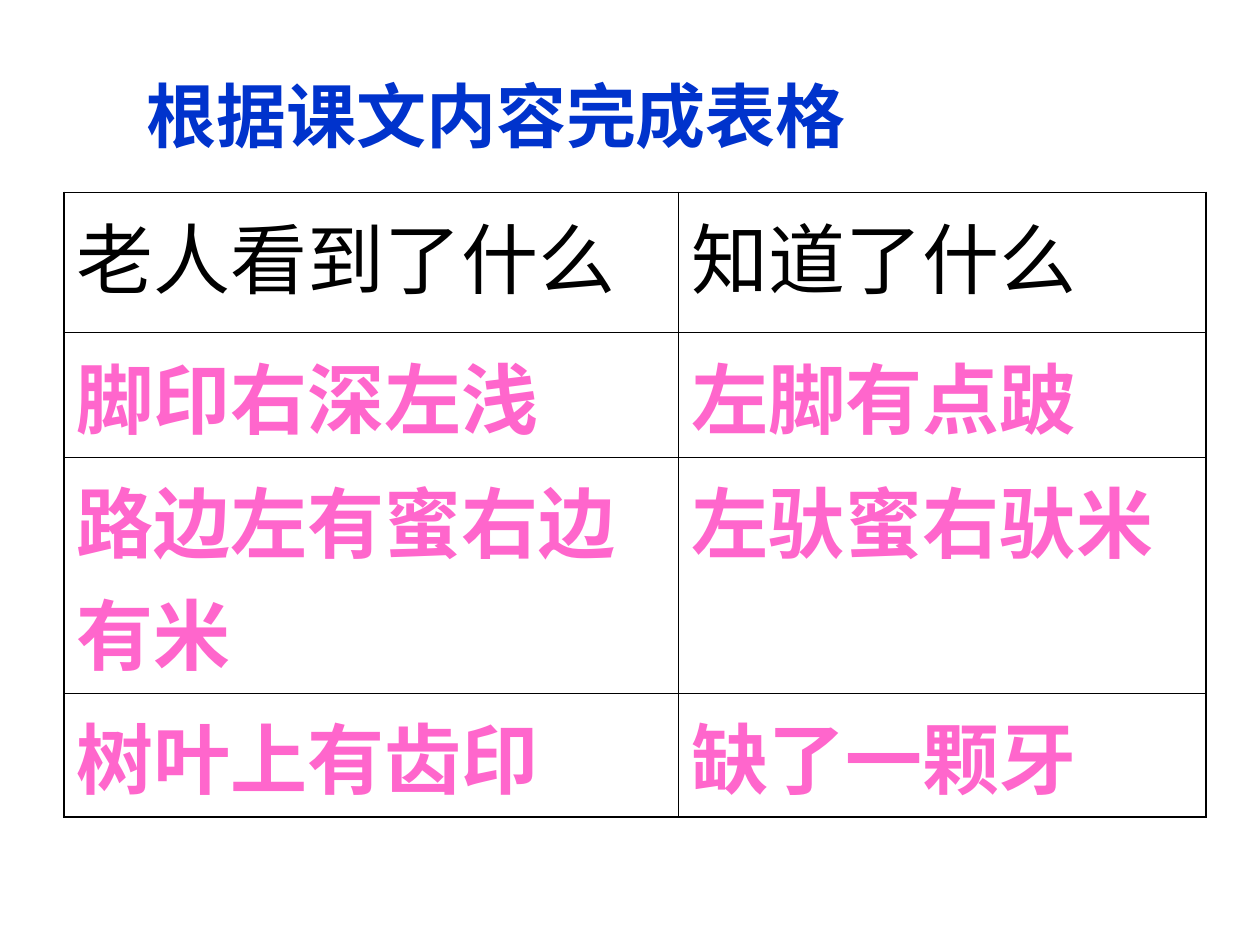
import pptx
import pptx.util
import pptx.dml.color
import pptx.enum.text
import pptx.oxml.ns
import lxml.etree

Pt = pptx.util.Pt
RGB = pptx.dml.color.RGBColor
Anchor = pptx.enum.text.MSO_ANCHOR
BLACK = RGB(0x00, 0x00, 0x00)
BLUE = RGB(0x00, 0x33, 0xCC)
PINK = RGB(0xFF, 0x66, 0xCC)

TITLE = "根据课文内容完成表格"
ROWS = [
    ("老人看到了什么", "知道了什么"),
    ("脚印右深左浅", "左脚有点跛"),
    ("路边左有蜜右边有米", "左驮蜜右驮米"),
    ("树叶上有齿印", "缺了一颗牙"),
]
WIDTHS = [351, 301.5]
HEIGHTS = [80, 60.5, 113, 71]
THICK, THIN = 1.08, 0.45


def write(frame, text, size=44, color=BLACK, bold=False):
    frame.word_wrap = True
    par = frame.paragraphs[0]
    par.alignment = pptx.enum.text.PP_ALIGN.LEFT
    run = par.add_run()
    run.text = text
    run.font.name = "Times New Roman"
    run.font.size = Pt(size)
    run.font.bold = bold
    run.font.color.rgb = color


def border(cell, sides):
    props = cell._tc.get_or_add_tcPr()
    name = pptx.oxml.ns.qn
    for side, outer in sides.items():
        line = lxml.etree.SubElement(props, name("a:ln" + side))
        line.set("w", str(Pt(THICK if outer else THIN)))
        fill = lxml.etree.SubElement(line, name("a:solidFill"))
        lxml.etree.SubElement(fill, name("a:srgbClr")).set("val", str(BLACK))


deck = pptx.Presentation()
deck.slide_width, deck.slide_height = Pt(720), Pt(540)
slide = deck.slides.add_slide(deck.slide_layouts[5])

title = slide.shapes.title
title.left, title.top, title.width, title.height = Pt(76.5), Pt(37.5), Pt(459.5), Pt(55.5)
title.text_frame.auto_size = pptx.enum.text.MSO_AUTO_SIZE.NONE
title.text_frame.vertical_anchor = Anchor.MIDDLE
write(title.text_frame, TITLE, size=40, color=BLUE, bold=True)

grid = slide.shapes.add_table(
    len(ROWS), len(WIDTHS), Pt(36.75), Pt(110), Pt(sum(WIDTHS)), Pt(sum(HEIGHTS))
).table
grid.first_row = grid.horz_banding = False
for col, width in zip(grid.columns, WIDTHS):
    col.width = Pt(width)
for row, height in zip(grid.rows, HEIGHTS):
    row.height = Pt(height)

for r, row in enumerate(ROWS):
    for c, text in enumerate(row):
        cell = grid.cell(r, c)
        border(cell, {
            "L": c == 0, "R": c == len(row) - 1,
            "T": r == 0, "B": r == len(ROWS) - 1,
        })
        cell.fill.background()
        cell.vertical_anchor = Anchor.TOP
        write(cell.text_frame, text, color=PINK if r else BLACK, bold=r > 0)

deck.save("out.pptx")
